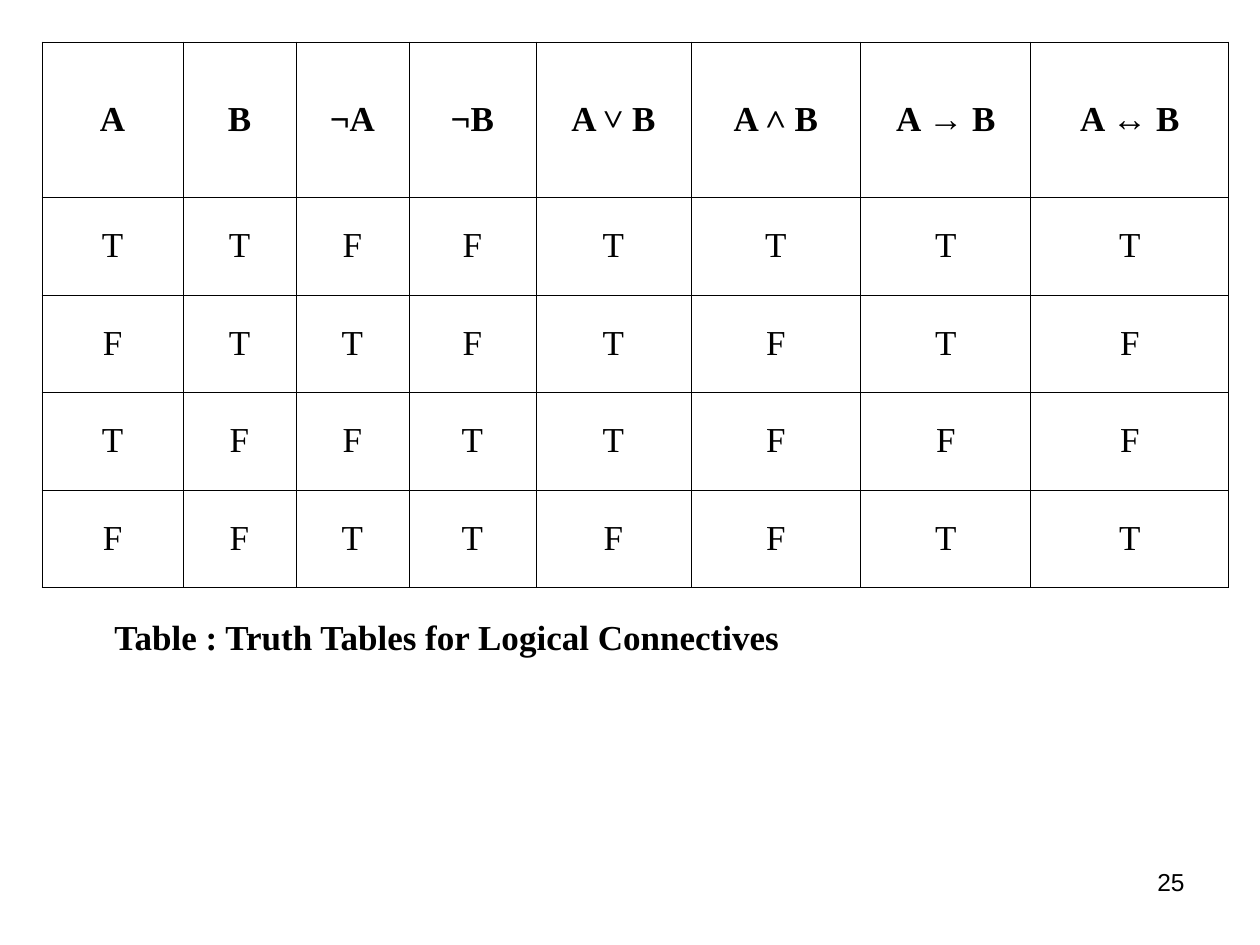
from itertools import groupby

from lxml.etree import SubElement
from pptx import Presentation
from pptx.dml.color import RGBColor
from pptx.enum.text import MSO_ANCHOR, MSO_AUTO_SIZE, PP_ALIGN
from pptx.oxml.ns import qn
from pptx.util import Emu, Pt

COLORS = {"ink": "000000"}
SERIF = "Times New Roman"
SANS = "Arial"
ARROWS = "→↔"

COLUMN_WIDTHS = [141, 113, 113, 127, 155, 170, 170, 198]
ROW_HEIGHTS = [155, 98, 97, 98, 97]
HEADINGS = ["A", "B", "¬A", "¬B", "A ˅ B", "A ˄ B", "A → B", "A ↔ B"]
TRUTH_ROWS = ["TTFFTTTT", "FTTFTFTF", "TFFTTFFF", "FFTTFFTT"]


def px(length):
    return Emu(round(length * 914400 / 126))


class SlideBuilder:
    def __init__(self, deck):
        self.slide = deck.slides.add_slide(deck.slide_layouts[6])
        self.ink = RGBColor.from_string(COLORS["ink"])

    def style(self, span, font, size, bold=False):
        span.font.name = font
        span.font.size = Pt(size)
        span.font.bold = bold
        span.font.color.rgb = self.ink

    def text(self, left, top, width, height, text, font, size, bold=False,
             align=PP_ALIGN.LEFT, wrap=True):
        box = self.slide.shapes.add_textbox(px(left), px(top), px(width), px(height))
        frame = box.text_frame
        frame.text = text
        frame.word_wrap = wrap
        frame.auto_size = MSO_AUTO_SIZE.NONE if wrap else MSO_AUTO_SIZE.SHAPE_TO_FIT_TEXT
        para = frame.paragraphs[0]
        para.alignment = align
        self.style(para.runs[0], font, size, bold)

    def border(self, cell):
        properties = cell._tc.get_or_add_tcPr()
        for position, side in enumerate(("a:lnL", "a:lnR", "a:lnT", "a:lnB")):
            line = properties.makeelement(qn(side), {"w": str(Pt(0.45))})
            properties.insert(position, line)
            fill = SubElement(line, qn("a:solidFill"))
            SubElement(fill, qn("a:srgbClr"), val=COLORS["ink"])

    def cell(self, cell, text, bold):
        cell.fill.background()
        cell.vertical_anchor = MSO_ANCHOR.MIDDLE
        cell.margin_left = cell.margin_right = px(10)
        cell.margin_top = cell.margin_bottom = px(6)
        para = cell.text_frame.paragraphs[0]
        para.alignment = PP_ALIGN.CENTER
        for is_arrow, letters in groupby(text, lambda letter: letter in ARROWS):
            span = para.add_run()
            span.text = "".join(letters)
            self.style(span, SANS if is_arrow else SERIF, 20, bold)
        self.border(cell)

    def table(self, left, top, widths, heights, rows):
        frame = self.slide.shapes.add_table(
            len(heights), len(widths), px(left), px(top), px(sum(widths)), px(sum(heights)))
        table = frame.table
        table.first_row = table.horz_banding = False
        for column, width in zip(table.columns, widths):
            column.width = px(width)
        for row, height in zip(table.rows, heights):
            row.height = px(height)
        for row_index, row in enumerate(rows):
            for column_index, text in enumerate(row):
                self.cell(table.cell(row_index, column_index), text, bold=row_index == 0)


def main():
    deck = Presentation()
    deck.slide_width, deck.slide_height = px(1260), px(945)
    builder = SlideBuilder(deck)
    builder.table(42, 42, COLUMN_WIDTHS, ROW_HEIGHTS, [HEADINGS, *TRUTH_ROWS])
    builder.text(903, 861, 294, 66, "25", SANS, 14, align=PP_ALIGN.RIGHT)
    builder.text(102, 609, 701, 55, "Table : Truth Tables for Logical Connectives",
                 SERIF, 20, bold=True, wrap=False)
    deck.save("out.pptx")


if __name__ == "__main__":
    main()
